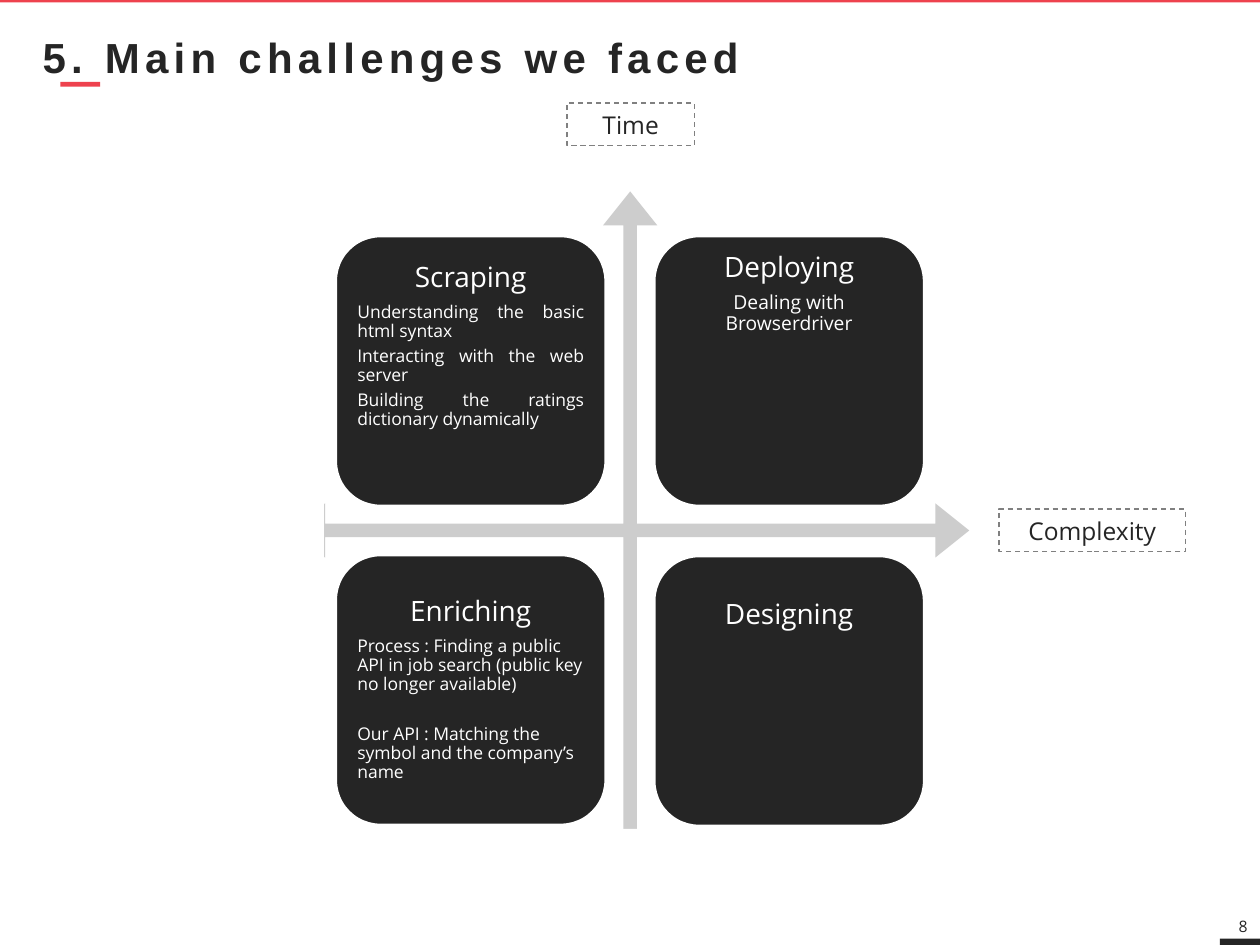
"""Build the slide on the main challenges, set out by time and complexity."""
from dataclasses import dataclass
from typing import Optional

import pptx
import pptx.dml.color
import pptx.enum.dml
import pptx.enum.shapes
import pptx.enum.text
import pptx.util

Cm = pptx.util.Cm
Pt = pptx.util.Pt
RGBColor = pptx.dml.color.RGBColor
MSO_SHAPE = pptx.enum.shapes.MSO_SHAPE
ALIGN = pptx.enum.text.PP_ALIGN
ANCHOR = pptx.enum.text.MSO_ANCHOR

DARK = RGBColor(0x25, 0x25, 0x25)
RED = RGBColor(0xEE, 0x42, 0x4E)
SILVER = RGBColor(0xCD, 0xCD, 0xCD)
GREY = RGBColor(0x80, 0x80, 0x80)
WHITE = RGBColor(0xFF, 0xFF, 0xFF)

CARD_SIZE = 5.46
AFTER_RATIO = 0.35


@dataclass(frozen=True)
class Box:
    left: float
    top: float
    width: float
    height: float

    def lengths(self) -> tuple:
        return Cm(self.left), Cm(self.top), Cm(self.width), Cm(self.height)


@dataclass(frozen=True)
class Line:
    text: str
    size: float = 10
    align: ALIGN = ALIGN.LEFT
    after: Optional[float] = None


@dataclass(frozen=True)
class Card:
    left: float
    top: float
    inset: float
    title: str
    lines: tuple = ()


CARDS = (
    Card(6.76, 4.75, 0.3, "Scraping", (
        Line("Understanding the basic html syntax", align=ALIGN.JUSTIFY),
        Line("Interacting with the web server", align=ALIGN.JUSTIFY),
        Line("Building the ratings dictionary dynamically", align=ALIGN.JUSTIFY),
    )),
    Card(13.18, 4.75, 0.09, "Deploying", (
        Line("Dealing with Browserdriver", size=11, align=ALIGN.CENTER),
    )),
    Card(6.76, 11.18, 0.6, "Enriching", (
        Line("Process : Finding a public API in job search "
             "(public key no longer available)", after=17.9),
        Line("Our API : Matching the symbol and the company’s name"),
    )),
    Card(13.18, 11.2, 0.64, "Designing"),
)
AXIS_LABELS = (
    ("Time", Box(11.43, 2.08, 2.57, 0.86)),
    ("Complexity", Box(20.14, 10.26, 3.76, 0.86)),
)
ACCENTS = (
    (Box(24.59, 18.92, 0.89, 0.25), DARK),
    (Box(0, -0.08, 25.4, 0.13), RED),
    (Box(1.22, 1.65, 0.8, 0.1), RED),
)
ARROW = Box(5.87, 3.86, 13.67, 13.67)
ARROW_ADJUSTMENTS = (0.02, 0.04, 0.05)
ARROW_END_COVERS = (Box(11.96, 16.71, 2.01, 1.37), Box(4.52, 10.01, 2.01, 1.37))


def add_shape(slide, box: Box, kind=MSO_SHAPE.RECTANGLE, fill=None,
              line=None, line_width: float = 0.75):
    sp = slide.shapes.add_shape(kind, *box.lengths())
    sp.shadow.inherit = False
    if fill is None:
        sp.fill.background()
    else:
        sp.fill.solid()
        sp.fill.fore_color.rgb = fill
    if line is None:
        sp.line.fill.background()
    else:
        sp.line.color.rgb = line
        sp.line.width = Pt(line_width)
    return sp


def write(p, text: str, *, size: float, color=DARK, font: str = "Open Sans",
          bold: bool = False, align=ALIGN.LEFT, tracking: float = 0):
    p.alignment = align
    r = p.add_run()
    r.text = text
    r.font.name = font
    r.font.size = Pt(size)
    r.font.bold = bold
    r.font.color.rgb = color
    if tracking:
        r._r.get_or_add_rPr().set("spc", str(int(tracking * 100)))


def add_text(slide, box: Box, text: str, anchor=ANCHOR.TOP, **style):
    tf = slide.shapes.add_textbox(*box.lengths()).text_frame
    tf.word_wrap = True
    tf.vertical_anchor = anchor
    write(tf.paragraphs[0], text, **style)


def add_card(slide, card: Card):
    sp = add_shape(slide, Box(card.left, card.top, CARD_SIZE, CARD_SIZE),
                   MSO_SHAPE.ROUNDED_RECTANGLE, DARK, WHITE, 2)
    tf = sp.text_frame
    tf.word_wrap = True
    tf.vertical_anchor = ANCHOR.TOP
    tf.margin_left = tf.margin_right = Cm(0.18)
    tf.margin_top, tf.margin_bottom = Cm(card.inset), 0
    for i, line in enumerate((Line(card.title, 16, ALIGN.CENTER), *card.lines)):
        p = tf.add_paragraph() if i else tf.paragraphs[0]
        p.line_spacing = 0.9
        p.space_after = Pt(line.after or line.size * AFTER_RATIO)
        write(p, line.text, size=line.size, color=WHITE, align=line.align)


def add_axis_label(slide, text: str, box: Box):
    sp = add_shape(slide, box, line=GREY)
    sp.line.dash_style = pptx.enum.dml.MSO_LINE.DASH
    sp.text_frame.word_wrap = True
    write(sp.text_frame.paragraphs[0], text, size=14, align=ALIGN.CENTER)


def main():
    prs = pptx.Presentation()
    prs.slide_width, prs.slide_height = Cm(25.4), Cm(19.05)
    slide = prs.slides.add_slide(prs.slide_layouts[6])

    add_text(slide, Box(22.66, 18.16, 2.74, 1.02), "8", ANCHOR.MIDDLE,
             size=9, align=ALIGN.RIGHT)
    for box, color in ACCENTS:
        add_shape(slide, box, fill=color)

    arrow = add_shape(slide, ARROW, MSO_SHAPE.QUAD_ARROW, SILVER)
    for i, value in enumerate(ARROW_ADJUSTMENTS):
        arrow.adjustments[i] = value
    for card in CARDS:
        add_card(slide, card)

    add_text(slide, Box(0.61, 0.51, 18.72, 1.14), "5. Main challenges we faced",
             size=24, font="Arial", bold=True, tracking=3)
    for text, box in AXIS_LABELS:
        add_axis_label(slide, text, box)
    for box in ARROW_END_COVERS:
        add_shape(slide, box, fill=WHITE)

    prs.save("out.pptx")


if __name__ == "__main__":
    main()
